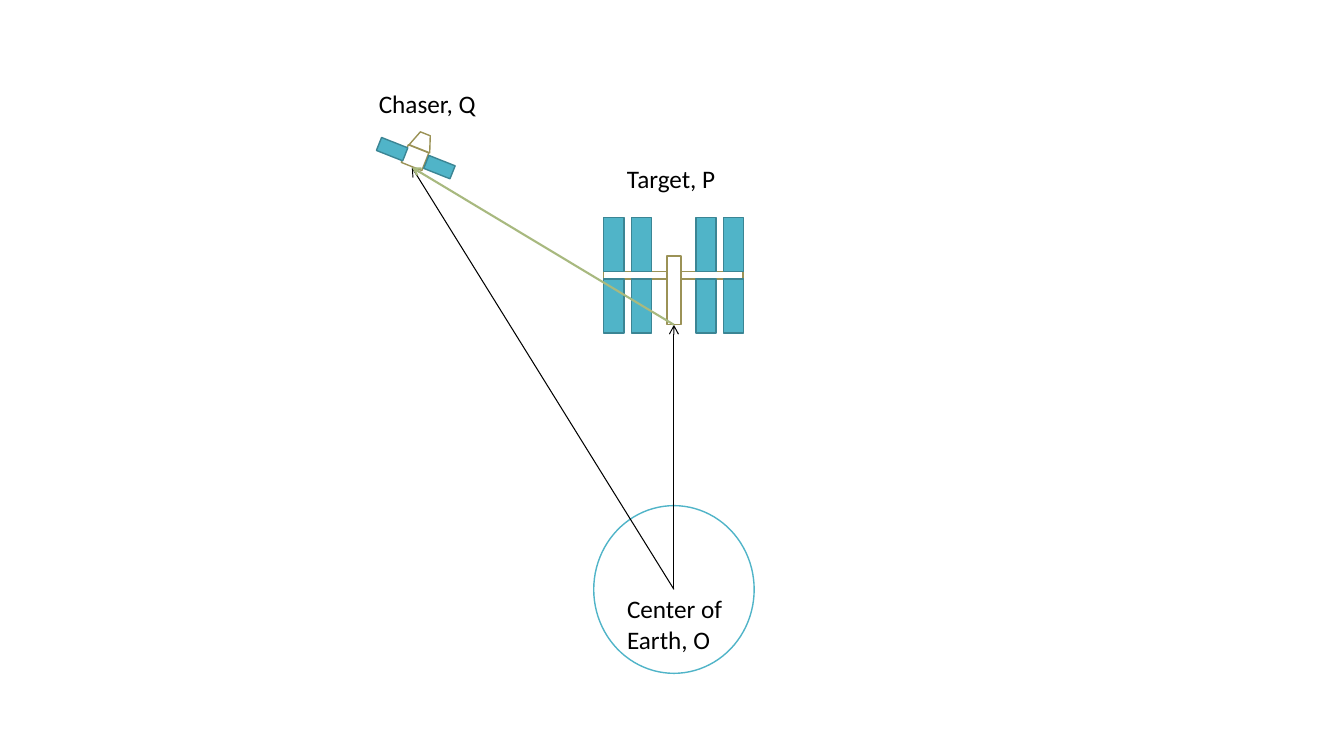
"""Draw a chaser and a target spacecraft with position vectors from the Earth's centre."""
import lxml.etree
import pptx
import pptx.dml.color
import pptx.enum.shapes
import pptx.enum.text
import pptx.oxml.ns
import pptx.util

Pt = pptx.util.Pt
Shape = pptx.enum.shapes.MSO_SHAPE
WHITE, BLACK = "FFFFFF", "000000"
TEAL, DARK_TEAL = "50B4C8", "3B8594"
OLIVE, GREEN = "9B9256", "A8B97F"
TILT = 21.6


def color(value):
    """Turn a hex string into a colour."""
    return pptx.dml.color.RGBColor.from_string(value)


def add_part(parent, kind, place, fill, line, tilt=0):
    """Add a filled, outlined shape to a page or group."""
    part = parent.shapes.add_shape(kind, *map(Pt, place))
    part.shadow.inherit = False
    part.fill.solid()
    part.fill.fore_color.rgb = color(fill)
    part.line.color.rgb = color(line)
    part.line.width = Pt(1)
    part.rotation = tilt
    return part


def add_arrow(page, start, end, line, width):
    """Add a straight arrow from start to end."""
    arrow = page.shapes.add_connector(
        pptx.enum.shapes.MSO_CONNECTOR.STRAIGHT, *map(Pt, start + end))
    arrow.line.color.rgb = color(line)
    arrow.line.width = Pt(width)
    qn = pptx.oxml.ns.qn
    properties = arrow.element.spPr
    lxml.etree.SubElement(properties.find(qn("a:ln")), qn("a:tailEnd"), type="arrow")
    lxml.etree.SubElement(properties, qn("a:effectLst"))


def add_label(page, place, text):
    """Add a wrapped text label."""
    box = page.shapes.add_textbox(*map(Pt, place))
    frame = box.text_frame
    frame.word_wrap = True
    frame.auto_size = pptx.enum.text.MSO_AUTO_SIZE.SHAPE_TO_FIT_TEXT
    para = frame.paragraphs[0]
    para.text = text
    para.font.name = "Calibri"
    para.font.size = Pt(18)
    para.font.color.rgb = color(BLACK)


def add_chaser(page):
    """Add the tilted chaser with its nose and two panels."""
    chaser = page.shapes.add_group_shape()
    add_part(chaser, Shape.RECTANGLE, (288.6, 105.8, 15.8, 13.6), WHITE, OLIVE, TILT)
    nose = add_part(chaser, Shape.TRAPEZOID, (293.8, 95.2, 15.8, 11.5), WHITE, OLIVE, TILT)
    nose.adjustments[0] = 0.355
    for left, top in ((303.8, 114.4), (270, 101.6)):
        add_part(chaser, Shape.RECTANGLE, (left, top, 20.2, 10), TEAL, DARK_TEAL, TILT)


def add_target(page):
    """Add the target station with its truss, module and panel grid."""
    target = page.shapes.add_group_shape()
    add_part(target, Shape.RECTANGLE, (431.3, 193.8, 99.6, 5.6), WHITE, OLIVE)
    add_part(target, Shape.RECTANGLE, (476.4, 182.9, 10, 49), WHITE, OLIVE)
    for top in (199.4, 155.4):
        for left in (431.3, 450.9, 497.1, 516.7):
            add_part(target, Shape.RECTANGLE, (left, top, 14.5, 38.6), TEAL, DARK_TEAL)


def main():
    """Build and save the slide."""
    deck = pptx.Presentation()
    deck.slide_width, deck.slide_height = Pt(960), Pt(540)
    page = deck.slides.add_slide(deck.slide_layouts[6])
    earth, station, craft = (481.4, 421), (481.4, 232), (294.2, 119.5)
    add_part(page, Shape.OVAL, (424.1, 361.2, 114.6, 119.8), WHITE, TEAL)
    add_chaser(page)
    add_target(page)
    add_arrow(page, earth, station, BLACK, 0.75)
    add_arrow(page, earth, craft, BLACK, 0.75)
    add_label(page, (263.5, 59.2, 116.6, 29), "Chaser, Q")
    add_label(page, (440.8, 420.5, 87.1, 51), "Center of Earth, O")
    add_label(page, (440.8, 113.2, 112.3, 29), "Target, P")
    add_arrow(page, station, craft, GREEN, 1.5)
    deck.save("out.pptx")


if __name__ == "__main__":
    main()
